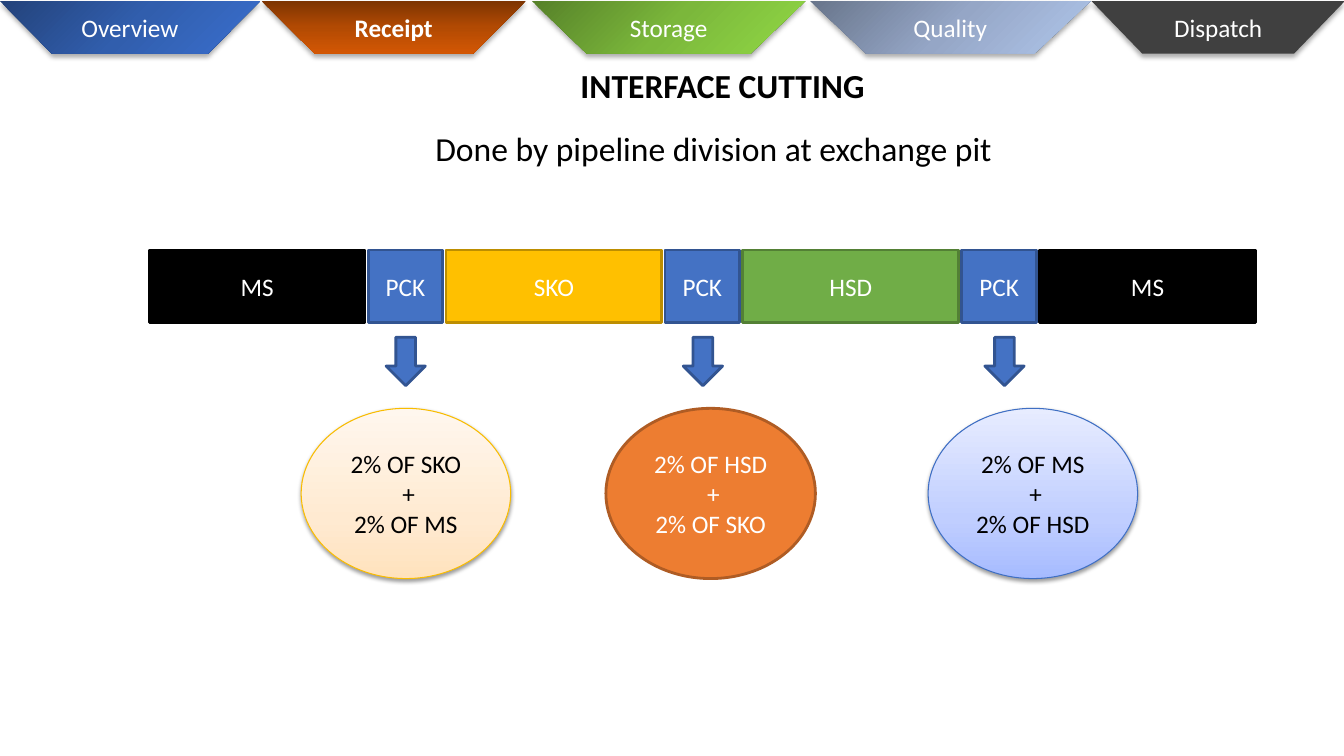
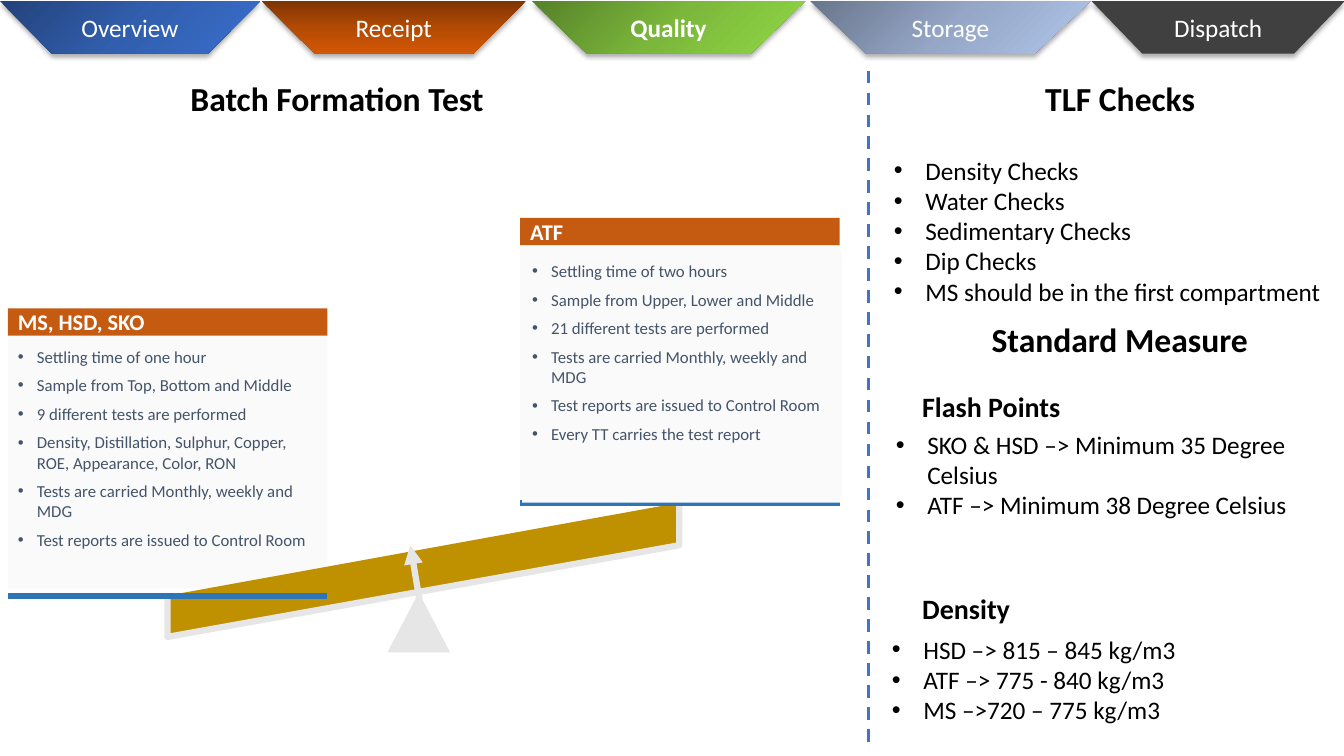
from dataclasses import dataclass

from lxml.etree import SubElement as Sub
from pptx import Presentation
from pptx.dml.color import RGBColor as Rgb
from pptx.enum.dml import MSO_LINE as Dash
from pptx.enum.shapes import MSO_CONNECTOR as Link, MSO_SHAPE as Kind
from pptx.enum.text import MSO_ANCHOR as Anchor, PP_ALIGN as Align
from pptx.oxml.ns import qn
from pptx.util import Cm, Pt


@dataclass(frozen=True)
class Theme:
    font: str = "Calibri"
    title: int = 24
    head: int = 20
    body: int = 18
    card: int = 16
    note: int = 12
    black: str = "000000"
    white: str = "FFFFFF"
    blue: str = "4472C4"
    navy: str = "325491"
    gold: str = "FFC000"
    ochre: str = "BD8E00"
    green: str = "70AD47"
    moss: str = "538035"
    orange: str = "ED7D31"
    rust: str = "AF5C24"
    slate: str = "44546A"
    pale: str = "FAFAFA"
    brick: str = "C55A11"
    base: str = "2E75B6"
    beam: str = "BF9000"
    grey: str = "E7E6E6"
    peach: tuple = (270, (0, "FFE2BD"), (35, "FFEAD1"), (100, "FFF7EE"))
    sky: tuple = (270, (0, "A6BBFF"), (35, "C0CEFF"), (100, "E7ECFF"))
    sun: str = "F9BC00"
    azure: str = "3F6FC3"
    soft: tuple = (38, 3.1, 1.6)
    deep: tuple = (32, 3.5, 2.2)


T = Theme()

TABS = (
    (0, 6.55, (45, (0, "23427A"), (50, "315EAD"), (100, "3A6FCE"))),
    (6.6, 6.65, (90, (0, "7D3402"), (50, "B24A03"), (100, "D35704"))),
    (13.41, 6.88, (45, (0, "568129"), (50, "7BB73B"), (100, "91D945"))),
    (20.42, 7.06, (45, (0, "68758B"), (50, "95A6C6"), (100, "B0C6EB"))),
    (27.51, 6.38, "404040"),
)


def paint(shape, fill):
    if isinstance(fill, str):
        shape.fill.solid()
        shape.fill.fore_color.rgb = Rgb.from_string(fill)
        return
    angle, *stops = fill
    shape.fill.gradient()
    shape.fill.gradient_angle = (360 - angle) % 360
    grad = shape._element.spPr.find(qn("a:gradFill"))
    ramp = grad.find(qn("a:gsLst"))
    for old in list(ramp):
        ramp.remove(old)
    for place, shade in stops:
        stop = Sub(ramp, qn("a:gs"), pos=str(place * 1000))
        Sub(stop, qn("a:srgbClr"), val=shade)


def stroke(line, shade, width):
    line.color.rgb = Rgb.from_string(shade)
    line.width = Pt(width)


def finish(shape, fill, edge=None, width=2, shadow=None):
    paint(shape, fill)
    if edge:
        stroke(shape.line, edge, width)
    else:
        shape.line.fill.background()
    shape.shadow.inherit = False
    if shadow:
        alpha, blur, dist = shadow
        effects = shape._element.spPr.find(qn("a:effectLst"))
        outer = Sub(effects, qn("a:outerShdw"), blurRad=str(Pt(blur)),
                    dist=str(Pt(dist)), dir="5400000", rotWithShape="0")
        tint = Sub(outer, qn("a:srgbClr"), val=T.black)
        Sub(tint, qn("a:alpha"), val=str(alpha * 1000))


def bullet(para, shade, indent):
    props = para._p.get_or_add_pPr()
    props.set("marL", str(Cm(indent)))
    props.set("indent", str(-Cm(indent)))
    Sub(Sub(props, qn("a:buClr")), qn("a:srgbClr"), val=shade)
    Sub(props, qn("a:buFont"), typeface="Arial")
    Sub(props, qn("a:buChar"), char="•")


def write(frame, lines, size, shade, bold=False, align=Align.LEFT, indent=0, gap=0):
    for i, line in enumerate(lines):
        para = frame.paragraphs[0] if i == 0 else frame.add_paragraph()
        para.text = line
        para.alignment = align
        if indent:
            bullet(para, shade, indent)
        if gap:
            para.space_before = Pt(gap)
        font = para.font
        font.name, font.size, font.bold = T.font, Pt(size), bold
        font.color.rgb = Rgb.from_string(shade)


def block(slide, kind, at, fill, lines=(), shade=T.white, bold=False, **look):
    shape = slide.shapes.add_shape(kind, *map(Cm, at))
    finish(shape, fill, **look)
    if lines:
        frame = shape.text_frame
        frame.word_wrap = True
        frame.vertical_anchor = Anchor.MIDDLE
        write(frame, lines, T.body, shade, bold, Align.CENTER)


def text(slide, at, lines, size, wrap=False, **style):
    frame = slide.shapes.add_textbox(*map(Cm, at)).text_frame
    frame.word_wrap = wrap
    write(frame, lines, size, T.black, **style)


def title(slide, left, top, width, line):
    text(slide, (left, top, width, 1.27), [line], T.title, bold=True)


def rule(slide, start, end, shade, width):
    line = slide.shapes.add_connector(Link.STRAIGHT, *map(Cm, start + end))
    stroke(line.line, shade, width)
    Sub(line._element.spPr, qn("a:effectLst"))
    return line


def outline(slide, points, fill, edge, width, close):
    first, *rest = [tuple(map(Cm, point)) for point in points]
    pen = slide.shapes.build_freeform(*first, scale=1.0)
    pen.add_line_segments(rest, close=close)
    finish(pen.convert_to_shape(), fill, edge, width)


def tabs(slide, names, active):
    for name, (left, width, fill) in zip(names, TABS):
        block(slide, Kind.FLOWCHART_MANUAL_OPERATION, (left, 0.03, width, 1.32),
              fill, [name], bold=name == active, shadow=T.deep)


def pipe(slide):
    plug = ("PCK", 1.88, T.blue, T.navy)
    ends = ("MS", 5.44, T.black, T.black)
    parts = (ends, plug, ("SKO", 5.44, T.gold, T.ochre), plug,
             ("HSD", 5.44, T.green, T.moss), plug, ends)
    left = 3.76
    for name, width, fill, edge in parts:
        block(slide, Kind.RECTANGLE, (left, 6.3, width, 1.83), fill, [name], edge=edge)
        left += width + 0.08


def blend(slide, arrow, left, pair, fill, shade, **look):
    block(slide, Kind.DOWN_ARROW, (arrow, 8.5, 0.99, 1.22), T.blue, edge=T.navy)
    lines = [f"2% OF {pair[0]}", " +", f"2% OF {pair[1]}"]
    block(slide, Kind.OVAL, (left, 10.29, 5.28, 4.29), fill, lines, shade, **look)


def plate(slide, left, top, height, fill, lines, size, shade, **style):
    shape = slide.shapes.add_shape(Kind.RECTANGLE, *map(Cm, (left, top, 8.05, height)))
    finish(shape, fill)
    frame = shape.text_frame
    frame.word_wrap = True
    frame.margin_top = frame.margin_bottom = Cm(0.25)
    write(frame, lines, size, shade, **style)
    return frame


def notes(slide, left, top, lines):
    frame = plate(slide, left, top, 6.35, T.pale, lines, T.note, T.slate,
                  indent=0.48, gap=6)
    frame.vertical_anchor = Anchor.TOP


def label(slide, left, top, base, name):
    frame = plate(slide, left, top, 0.69, T.brick, [name], T.card, T.white, bold=True)
    frame.vertical_anchor = Anchor.MIDDLE
    rule(slide, (left, base), (left + 8.05, base), T.base, 4.5)


def balance(slide):
    foot = ((9.73, 16.46), (10.49, 15.01), (10.62, 15.01), (11.38, 16.46))
    beam = ((4.22, 15.01), (4.22, 16.05), (17.12, 13.74), (17.12, 12.67))
    outline(slide, foot, T.grey, T.white, 1, True)
    outline(slide, beam, T.beam, T.grey, 4.5, False)
    hand = rule(slide, (10.69, 15.82), (10.34, 13.74), T.grey, 4.5)
    Sub(hand.line._get_or_add_ln(), qn("a:tailEnd"), type="triangle")


def cutting(slide):
    title(slide, 14.38, 1.52, 7.67, "INTERFACE CUTTING")
    text(slide, (10.72, 3.1, 18.31, 1.27),
         ["Done by pipeline division at exchange pit"], T.title, wrap=True)
    pipe(slide)
    blend(slide, 9.73, 7.59, ("SKO", "MS"), T.peach, T.black,
          edge=T.sun, width=0.75, shadow=T.soft)
    blend(slide, 17.22, 15.27, ("HSD", "SKO"), T.orange, T.white, edge=T.rust)
    blend(slide, 24.82, 23.39, ("MS", "HSD"), T.sky, T.black,
          edge=T.azure, width=0.75, shadow=T.soft)
    tabs(slide, ("Overview", "Receipt", "Storage", "Quality", "Dispatch"), "Receipt")


def batch(slide):
    title(slide, 4.55, 1.85, 7.9, "Batch Formation Test")
    notes(slide, 0.2, 8.48, (
        "Settling time of one hour",
        "Sample from Top, Bottom and Middle",
        "9 different tests are performed",
        "Density, Distillation, Sulphur, Copper, ROE, Appearance, Color, RON",
        "Tests are carried Monthly, weekly and MDG",
        "Test reports are issued to Control Room"))
    notes(slide, 13.11, 6.17, ())
    balance(slide)
    label(slide, 0.2, 7.77, 15.01, "MS, HSD, SKO")
    label(slide, 13.11, 5.49, 12.67, "ATF")
    notes(slide, 13.16, 6.32, (
        "Settling time of two hours",
        "Sample from Upper, Lower and Middle",
        "21 different tests are performed",
        "Tests are carried Monthly, weekly and MDG",
        "Test reports are issued to Control Room",
        "Every TT carries the test report"))


def checks(slide):
    line = rule(slide, (21.89, 1.78), (21.89, 18.69), T.blue, 2.25)
    line.line.dash_style = Dash.DASH
    title(slide, 26.09, 1.85, 4.29, "TLF Checks")
    title(slide, 24.74, 7.92, 6.96, "Standard Measure")
    for top, width, name in ((9.7, 3.99, "Flash Points"), (14.78, 2.72, "Density")):
        text(slide, (22.99, top, width, 1.09), [name], T.head, bold=True)
    lists = (
        ((22.28, 3.78, 11.25, 4.83), False, (
            "Density Checks", "Water Checks", "Sedimentary Checks", "Dip Checks",
            "MS should be in the first compartment")),
        ((22.33, 10.69, 11.46, 4.06), True, (
            "SKO & HSD –> Minimum 35 Degree Celsius",
            "ATF –> Minimum 38 Degree Celsius")),
        ((22.23, 15.85, 11.46, 3.1), True, (
            "HSD –> 815 – 845 kg/m3", "ATF –> 775 - 840 kg/m3",
            "MS –>720 – 775 kg/m3")),
    )
    for at, wrap, lines in lists:
        text(slide, at, lines, T.body, wrap, indent=0.79)


def main():
    deck = Presentation()
    deck.slide_width, deck.slide_height = Cm(33.87), Cm(19.05)
    blank = deck.slide_layouts[6]
    cutting(deck.slides.add_slide(blank))
    tests = deck.slides.add_slide(blank)
    tabs(tests, ("Overview", "Receipt", "Quality", "Storage", "Dispatch"), "Quality")
    batch(tests)
    checks(tests)
    deck.save("out.pptx")


if __name__ == "__main__":
    main()
